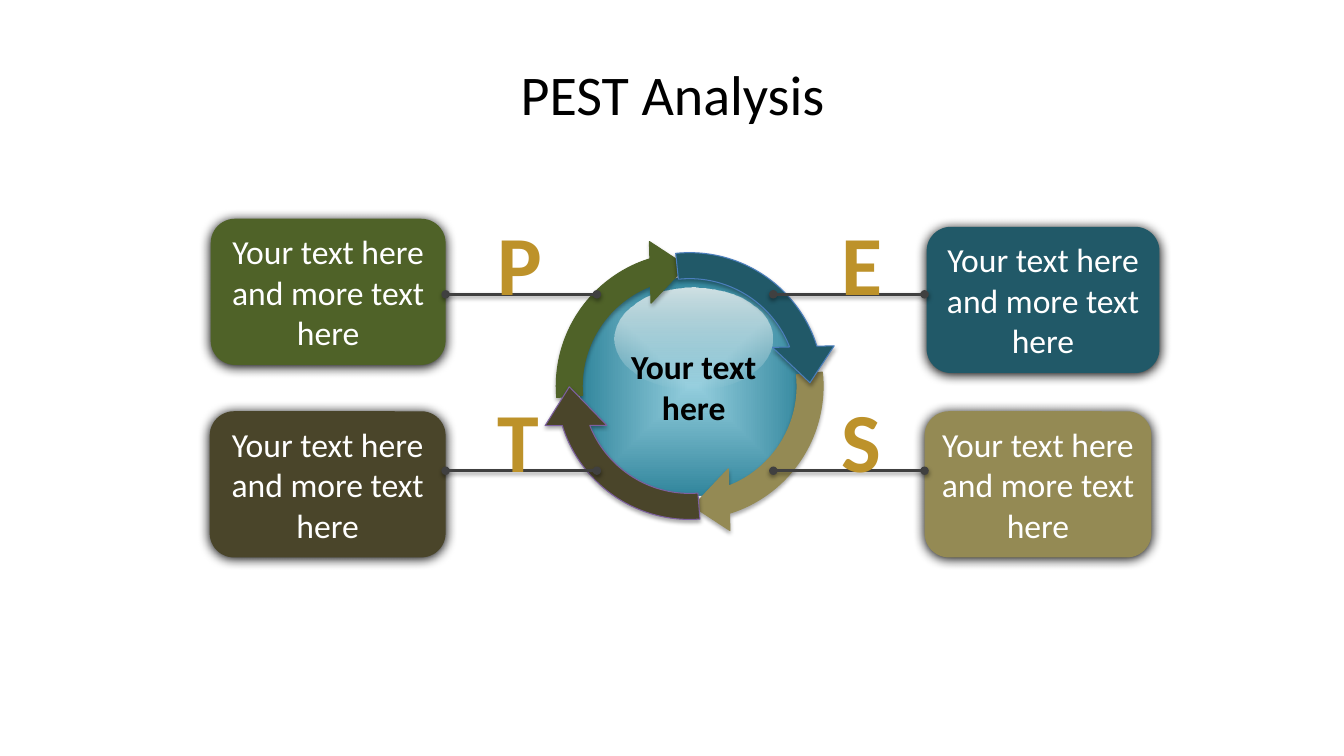
from lxml.etree import SubElement
from pptx import Presentation
from pptx.dml.color import RGBColor
from pptx.enum.shapes import MSO_CONNECTOR, MSO_SHAPE as SHAPE
from pptx.enum.text import MSO_ANCHOR as ANCHOR, PP_ALIGN as ALIGN
from pptx.oxml.ns import qn
from pptx.util import Inches, Pt

FONT = "Calibri"
GREEN, TEAL, TAN, BROWN = "4F6228", "215968", "948A54", "4A452A"
GOLD, GREY, WHITE, BLACK = "BD922A", "404040", "FFFFFF", "000000"

LINE_LENGTH = 1.5
LEFT_LINE, RIGHT_LINE = 4.42, 7.67
TOP_LINE, BOTTOM_LINE = 2.92, 4.67
BOX_HEIGHT = 1.45


def rgb(value):
    return RGBColor.from_string(value)


def inches(*lengths):
    return [Inches(length) for length in lengths]


def add_child(parent, tag, **attributes):
    child = SubElement(parent, qn(tag))
    for name, value in attributes.items():
        child.set(name, str(value))
    return child


def cast_shadow(shape, opacity, blur, distance):
    """Add a downward black shadow; fill and line must already be set."""
    effects = add_child(shape._element.spPr, "a:effectLst")
    shadow = add_child(effects, "a:outerShdw", blurRad=Pt(blur), dist=Pt(distance),
                       dir=90 * 60000, algn="ctr", rotWithShape=0)
    color = add_child(shadow, "a:srgbClr", val=BLACK)
    add_child(color, "a:alpha", val=opacity * 1000)


def set_gradient(shape, stops, radial=False):
    """Fill with stops of (position, colour, opacity), all but colour in percent."""
    shape.fill.background()
    properties = shape._element.spPr
    gradient = add_child(properties, "a:gradFill", rotWithShape=1)
    stop_list = add_child(gradient, "a:gsLst")
    for position, value, opacity in stops:
        stop = add_child(stop_list, "a:gs", pos=position * 1000)
        color = add_child(stop, "a:srgbClr", val=value)
        add_child(color, "a:alpha", val=opacity * 1000)
    if radial:
        shading = add_child(gradient, "a:path", path="shape")
        add_child(shading, "a:fillToRect", l=50000, t=50000, r=50000, b=50000)
    else:
        add_child(gradient, "a:lin", ang=90 * 60000, scaled=0)
    properties.replace(properties.find(qn("a:noFill")), gradient)


def write(shape, text, size, color, bold=False, align=ALIGN.CENTER, anchor=ANCHOR.MIDDLE):
    frame = shape.text_frame
    frame.word_wrap = True
    frame.vertical_anchor = anchor
    frame.text = text
    paragraph = frame.paragraphs[0]
    paragraph.alignment = align
    font = paragraph.font
    font.name, font.size, font.bold = FONT, Pt(size), bold
    font.color.rgb = rgb(color)


def add_title(slide, left, top, width, height):
    title = slide.shapes.title
    title.left, title.top, title.width, title.height = inches(left, top, width, height)
    write(title, "PEST Analysis", 40, BLACK)


def add_sphere(slide, left, top, width, height):
    sphere = slide.shapes.add_shape(SHAPE.OVAL, *inches(left, top, width, height))
    gloss = slide.shapes.add_shape(
        SHAPE.OVAL, *inches(left + 0.35, top + 0.1, width - 0.69, 1.01))
    set_gradient(sphere, [(0, "93CDDD", 100), (100, "31859C", 100), (100, TEAL, 100)],
                 radial=True)
    set_gradient(gloss, [(0, "FFFCF9", 77), (100, WHITE, 0)])
    for shape in (sphere, gloss):
        shape.line.fill.background()
        shape.shadow.inherit = False


def add_cycle(slide, left, top, size):
    """Four circular arrows, each a quarter turn of the same ring."""
    arrows = [
        (90, TAN, TAN, 10.544, 158.405),
        (270, GREEN, GREEN, 10.544, 159.041),
        (180, BROWN, "7D60A0", 11.263, 159.36),
        (0, TEAL, "4B7EBC", 10.544, 158.405),
    ]
    for rotation, fill, outline, head_angle, start_angle in arrows:
        arrow = slide.shapes.add_shape(SHAPE.CIRCULAR_ARROW, *inches(left, top, size, size))
        arrow.rotation = rotation
        for index, value in enumerate((0.086, head_angle, 204.534, start_angle, 0.102)):
            arrow.adjustments[index] = value
        arrow.fill.solid()
        arrow.fill.fore_color.rgb = rgb(fill)
        arrow.line.color.rgb = rgb(outline)
        arrow.line.width = Pt(0.75)
        cast_shadow(arrow, 35, 3.1, 1.8)


def add_factor(slide, letter, color, box, line_left, line_top, letter_left):
    """One PEST factor: text box, line to the ring and letter over the line."""
    left, top, width = box
    card = slide.shapes.add_shape(
        SHAPE.ROUNDED_RECTANGLE, *inches(left, top, width, BOX_HEIGHT))
    card.fill.solid()
    card.fill.fore_color.rgb = rgb(color)
    card.line.fill.background()
    cast_shadow(card, 100, 8.5, 1)
    write(card, "Your text here and more text here", 24, WHITE)

    line = slide.shapes.add_connector(
        MSO_CONNECTOR.STRAIGHT,
        *inches(line_left, line_top, line_left + LINE_LENGTH, line_top))
    line.line.color.rgb = rgb(GREY)
    line.line.width = Pt(2)
    outline = line.line._get_or_add_ln()
    for end in ("a:headEnd", "a:tailEnd"):
        add_child(outline, end, type="oval")
    cast_shadow(line, 38, 3.1, 1.6)

    label = slide.shapes.add_textbox(*inches(letter_left, line_top - 0.87, 0.65, 1.11))
    label.text_frame.margin_right = 0
    write(label, letter, 60, GOLD, bold=True, align=ALIGN.LEFT, anchor=ANCHOR.TOP)


def add_center_text(slide, left, top, width, height):
    label = slide.shapes.add_textbox(*inches(left, top, width, height))
    write(label, "Your text here", 24, BLACK, bold=True)


def main():
    presentation = Presentation()
    presentation.slide_width, presentation.slide_height = inches(13.33, 7.5)
    slide = presentation.slides.add_slide(presentation.slide_layouts[5])

    add_title(slide, 0.67, 0.3, 12, 1.25)
    add_sphere(slide, 5.75, 2.75, 2.25, 2.17)
    add_cycle(slide, 5.34, 2.33, 3)
    factors = [
        ("P", GREEN, (2.09, 2.17, 2.33), LEFT_LINE, TOP_LINE, 4.84),
        ("E", TEAL, (9.19, 2.25, 2.31), RIGHT_LINE, TOP_LINE, 8.25),
        ("S", TAN, (9.17, 4.08, 2.25), RIGHT_LINE, BOTTOM_LINE, 8.25),
        ("T", BROWN, (2.08, 4.08, 2.34), LEFT_LINE, BOTTOM_LINE, 4.84),
    ]
    for factor in factors:
        add_factor(slide, *factor)
    add_center_text(slide, 6.09, 3.25, 1.58, 1.17)

    presentation.save("out.pptx")


if __name__ == "__main__":
    main()
